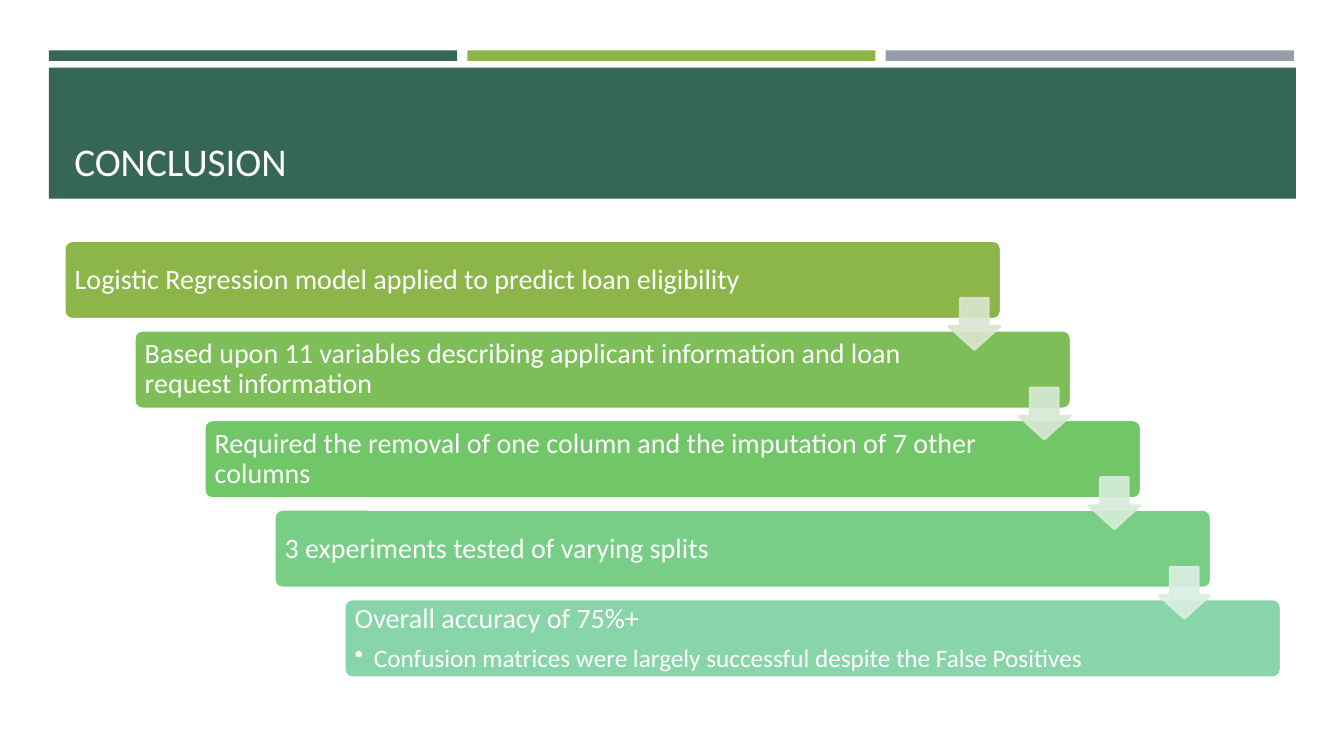
from lxml import etree
from pptx import Presentation
from pptx import util as u
from pptx.dml.color import RGBColor
from pptx.enum import shapes, text
from pptx.oxml import ns


def color(value):
    return RGBColor.from_string(value)


class Slide:
    """Draws styled elements on one page, measured on a 48 by 27 grid."""

    font = "Calibri"
    white = "FFFFFF"
    outline = 1.75

    def __init__(self, deck):
        self.column = deck.slide_width / 48
        self.row = deck.slide_height / 27
        self.page = deck.slides.add_slide(deck.slide_layouts[6])

    def place(self, left, top, width, height):
        return (round(left * self.column), round(top * self.row),
                round(width * self.column), round(height * self.row))

    def shape(self, kind, area, fill, line=None, adjust=(), alpha=None):
        box = self.page.shapes.add_shape(kind, *self.place(*area))
        box.shadow.inherit = False
        for index, value in enumerate(adjust):
            box.adjustments[index] = value
        box.fill.solid()
        box.fill.fore_color.rgb = color(fill)
        if line:
            box.line.color.rgb = color(line)
            box.line.width = u.Pt(self.outline)
        else:
            box.line.fill.background()
        if alpha:
            for tint in box._element.spPr.iter(ns.qn("a:srgbClr")):
                etree.SubElement(tint, ns.qn("a:alpha"), val=str(alpha * 1000))

    def bar(self, area, fill):
        self.shape(shapes.MSO_SHAPE.RECTANGLE, area, fill)

    def card(self, area, fill):
        self.shape(shapes.MSO_SHAPE.ROUNDED_RECTANGLE, area, fill, self.white, [0.1])

    def arrow(self, area, fill):
        self.shape(shapes.MSO_SHAPE.DOWN_ARROW, area, fill, fill, [0.55, 0.45], 90)

    def frame(self, area, anchor, inset=None):
        frame = self.page.shapes.add_textbox(*self.place(*area)).text_frame
        frame.word_wrap = True
        frame.vertical_anchor = anchor
        if inset is not None:
            frame.margin_left = frame.margin_right = u.Inches(inset)
            frame.margin_top = frame.margin_bottom = u.Inches(inset)
        return frame

    def fill_para(self, para, words, size, ink=white):
        para.text = words
        para.line_spacing = 0.9
        para.font.name = self.font
        para.font.size = u.Pt(size)
        para.font.color.rgb = color(ink)

    def title(self, area, words):
        frame = self.frame(area, text.MSO_ANCHOR.BOTTOM)
        self.fill_para(frame.paragraphs[0], words, 28, "FFFEFF")

    def message(self, area, words, details):
        frame = self.frame(area, text.MSO_ANCHOR.MIDDLE, 0.08)
        self.fill_para(frame.paragraphs[0], words, 20)
        for detail in details:
            para = frame.add_paragraph()
            self.fill_para(para, detail, 18)
            para.level = 1
            para.space_before = u.Pt(8)
            layout = para._p.get_or_add_pPr()
            indent = u.Inches(0.19)
            layout.set("marL", str(indent))
            layout.set("indent", str(-indent))
            bullet = etree.Element(ns.qn("a:buChar"), char="•")
            layout.find(ns.qn("a:spcBef")).addnext(bullet)


STEPS = [
    ("Logistic Regression model applied to predict loan eligibility", [], "8CB64A", 30.05),
    ("Based upon 11 variables describing applicant information and loan request information",
     [], "7DBE59", 28.95),
    ("Required the removal of one column and the imputation of 7 other columns",
     [], "71C668", 28.95),
    ("3 experiments tested of varying splits", [], "78CE86", 28.95),
    ("Overall accuracy of 75%+",
     ["Confusion matrices were largely successful despite the False Positives"],
     "88D5A9", 28.95),
]
ARROWS = ["DAE5D0", "D7E9D3", "D6ECD8", "DAEFE2"]


def main():
    deck = Presentation()
    deck.slide_width, deck.slide_height = u.Inches(13.33), u.Inches(7.5)
    slide = Slide(deck)

    for index, fill in enumerate(["366658", "8CB64A", "969FA7"]):
        slide.bar((1.75 + 14.94 * index, 1.8, 14.58, 0.38), fill)
    slide.bar((1.75, 2.42, 44.53, 4.68), "366658")
    slide.title((2.3, 2.77, 43.4, 4), "CONCLUSION")

    for index, (words, details, fill, width) in enumerate(STEPS):
        left, top = 2.3 + 2.5 * index, 8.6 + 3.2 * index
        slide.card((left, top, 33.45, 2.8), fill)
        slide.message((left + 0.08, top + 0.08, width, 2.65), words, details)

    for index, fill in enumerate(ARROWS):
        slide.arrow((33.88 + 2.5 * index, 10.65 + 3.2 * index, 1.84, 1.84), fill)

    deck.save("out.pptx")


if __name__ == "__main__":
    main()
